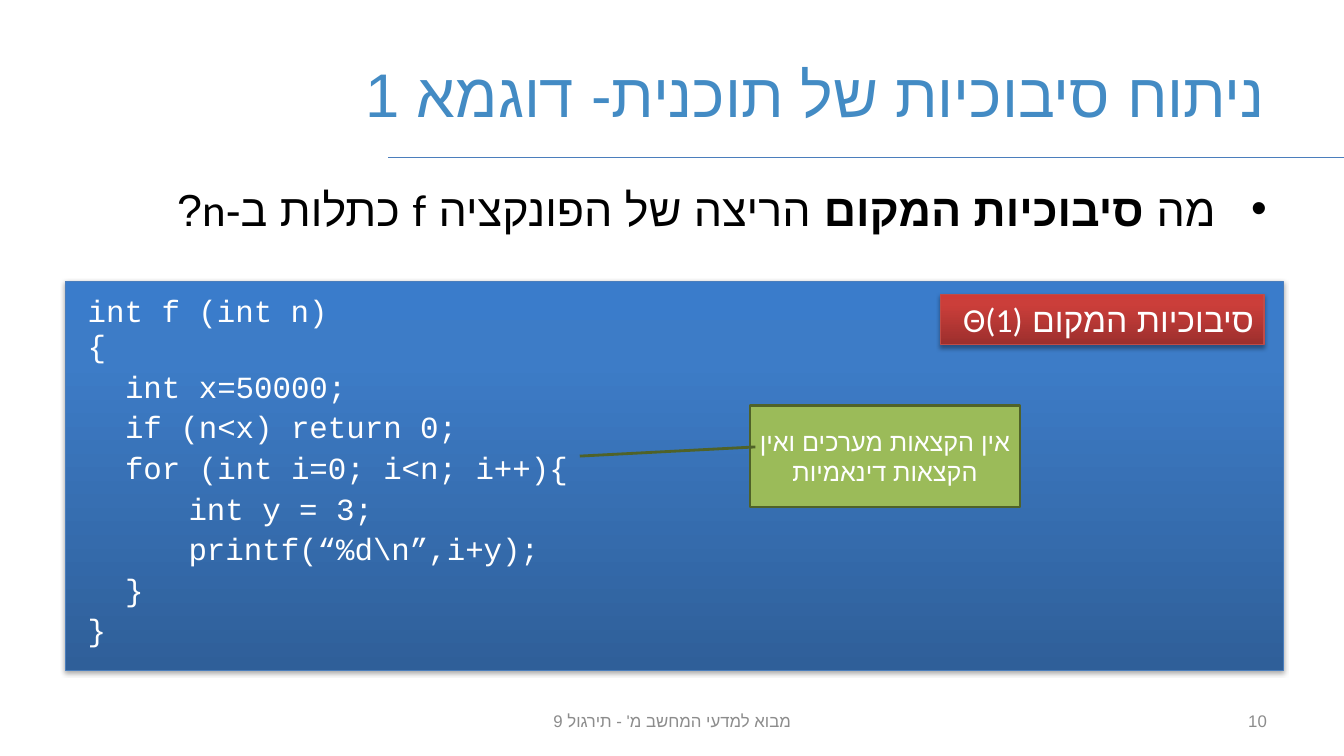
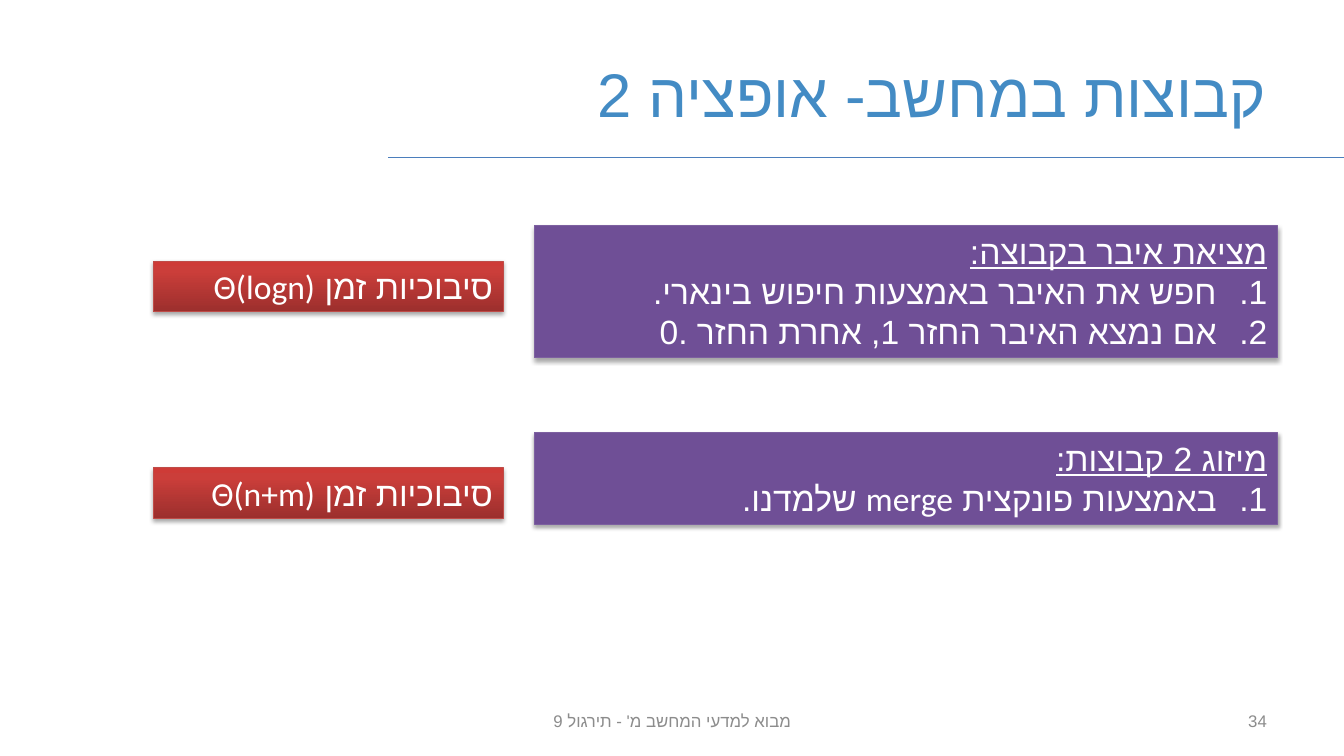
from copy import deepcopy

from lxml import etree
from pptx import Presentation
from pptx import util as u
from pptx.dml import color
from pptx.enum import shapes, text
from pptx.oxml import ns

WIDTH, HEIGHT = u.Inches(13.33), u.Inches(7.5)
TITLE_BLUE, RULE_BLUE, FOOTER_GREY = "438BC4", "4B7EBC", "8C8C8C"
WHITE, BLACK = "FFFFFF", "000000"
BLUE_FILL = [("2F5F99", 0), ("3D7CC7", 0.8), ("3A7CCB", 1)]
RED_FILL = [("9C2F2D", 0), ("CB3E3A", 0.8), ("CE3B37", 1)]
RED_EDGE = "BF4C48"
PURPLE, PURPLE_EDGE = "6F4F96", "7D60A0"
GREEN, GREEN_EDGE = "9BBB59", "4F6228"
RIGHT, CENTER, LEFT = text.PP_ALIGN.RIGHT, text.PP_ALIGN.CENTER, text.PP_ALIGN.LEFT
FOOTER = "מבוא למדעי המחשב מ' - תירגול 9"
CODE = [
    ("int f (int n)", 0),
    ("{", 0),
    ("int x=50000;", 0.37),
    ("if (n<x) return 0;", 0.37),
    ("for (int i=0; i<n; i++){", 0.37),
    ("int y = 3;", 1),
    ("printf(“%d\\n”,i+y);", 1),
    ("}", 0.37),
    ("}", 0),
]
OPERATIONS = [
    (29.87, 17.47, "סיבוכיות זמן Θ(logn)",
     ["מציאת איבר בקבוצה:", "חפש את האיבר באמצעות חיפוש בינארי.",
      "אם נמצא האיבר החזר 1, אחרת החזר .0"]),
    (57.2, 12.13, "סיבוכיות זמן Θ(n+m)",
     ["מיזוג 2 קבוצות:", "באמצעות פונקצית merge שלמדנו."]),
]


def rgb(value):
    """Turn a hex string into a colour."""
    return color.RGBColor.from_string(value)


def area(left, top, width, height):
    """Turn percentages of the slide into lengths."""
    return [u.Emu(round(share * side / 100))
            for share, side in zip((left, top, width, height), (WIDTH, HEIGHT) * 2)]


def child(parent, tag, **attributes):
    """Append a drawing element to its parent."""
    element = etree.SubElement(parent, ns.qn(tag))
    for key, value in attributes.items():
        element.set(key, str(value))
    return element


def move(placeholder, box):
    """Place a placeholder on the slide."""
    placeholder.left, placeholder.top, placeholder.width, placeholder.height = area(*box)


def indent(paragraph, margin, hanging=0):
    """Set the margin and hanging indent in inches."""
    properties = paragraph._p.get_or_add_pPr()
    properties.set("marL", str(u.Inches(margin)))
    properties.set("indent", str(-u.Inches(hanging)))


def style(paragraph, size, ink, font="Calibri", align=RIGHT, rtl=True):
    """Format a paragraph and all its runs."""
    paragraph.alignment = align
    paragraph._p.get_or_add_pPr().set("rtl", str(int(rtl)))
    for run in paragraph.runs:
        run.font.size, run.font.name = u.Pt(size), font
        run.font.color.rgb = rgb(ink)
        child(run._r.get_or_add_rPr(), "a:cs", typeface="Arial" if rtl else font)


def write(frame, lines, *look, **options):
    """Fill a frame with equally formatted lines."""
    frame.text = "\n".join(lines)
    for paragraph in frame.paragraphs:
        style(paragraph, *look, **options)


def paint(shape, fill, edge, weight=0.75):
    """Give a shape a plain or gradient fill and an edge."""
    if isinstance(fill, str):
        shape.fill.solid()
        shape.fill.fore_color.rgb = rgb(fill)
    else:
        shape.fill.gradient()
        shape.fill.gradient_angle = 90
        stops = shape._element.spPr.find(".//" + ns.qn("a:gsLst"))
        stops.append(deepcopy(stops[-1]))
        for stop, (ink, position) in zip(shape.fill.gradient_stops, fill):
            stop.color.rgb, stop.position = rgb(ink), position
    shape.line.color.rgb = rgb(edge)
    shape.line.width = u.Pt(weight)
    shape.shadow.inherit = False


def add_panel(slide, box, fill, edge):
    """Add a filled rectangle with a soft shadow and return its frame."""
    panel = slide.shapes.add_shape(shapes.MSO_SHAPE.RECTANGLE, *area(*box))
    paint(panel, fill, edge)
    effects = panel._element.spPr.find(ns.qn("a:effectLst"))
    shadow = child(effects, "a:outerShdw", blurRad=u.Pt(3.1), dist=u.Pt(1.8),
                   dir=5400000, rotWithShape=0)
    child(child(shadow, "a:srgbClr", val=BLACK), "a:alpha", val=35000)
    frame = panel.text_frame
    frame.vertical_anchor = text.MSO_ANCHOR.TOP
    frame.auto_size = text.MSO_AUTO_SIZE.SHAPE_TO_FIT_TEXT
    frame.word_wrap = True
    return frame


def add_badge(slide, box, label):
    """Add a red complexity label."""
    write(add_panel(slide, box, RED_FILL, RED_EDGE), [label], 24, WHITE)


def add_footer(slide, box, label, align):
    """Add a grey footer text."""
    frame = slide.shapes.add_textbox(*area(*box)).text_frame
    frame.word_wrap = True
    frame.vertical_anchor = text.MSO_ANCHOR.MIDDLE
    write(frame, [label], 12, FOOTER_GREY, align=align)


def add_page(deck, layout, title, number):
    """Add a slide with the shared rule, title and footers."""
    slide = deck.slides.add_slide(deck.slide_layouts[layout])
    rule = slide.shapes.add_connector(shapes.MSO_CONNECTOR.STRAIGHT,
                                      *area(100, 20.8, 28.88, 20.8))
    rule.line.color.rgb = rgb(RULE_BLUE)
    rule.line.width = u.Pt(0.75)
    child(rule._element.spPr, "a:effectLst")
    move(slide.shapes.title, (5, 4, 90, 16.67))
    write(slide.shapes.title.text_frame, [title], 44, TITLE_BLUE, "Arial")
    add_footer(slide, (34.2, 92.67, 31.65, 5.33), FOOTER, CENTER)
    add_footer(slide, (71.67, 92.67, 23.33, 5.33), number, RIGHT)
    return slide


def add_question(slide, parts):
    """Fill the body with one bullet whose second part is bold."""
    body = slide.placeholders[1]
    move(body, (5, 23.33, 90, 66))
    question = body.text_frame.paragraphs[0]
    for part in parts:
        question.add_run().text = part
    style(question, 32, BLACK)
    indent(question, 0.38, 0.38)
    question.runs[1].font.bold = True


def add_code(slide, box, code):
    """Add the program listing, indented by level."""
    frame = add_panel(slide, box, BLUE_FILL, RULE_BLUE)
    frame.margin_left = frame.margin_right = u.Inches(0.22)
    frame.margin_top = frame.margin_bottom = u.Inches(0.17)
    write(frame, [line for line, _ in code], 22, WHITE, "Courier New", LEFT, rtl=False)
    for row, (paragraph, (_, margin)) in enumerate(zip(frame.paragraphs, code)):
        indent(paragraph, margin)
        paragraph.line_spacing = 0.8 if row < 2 else 1.1
        paragraph.space_before = u.Pt(4.4 if row < 2 else 0)


def add_callout(slide, box, pointer, remark):
    """Add a green remark with a pointer line."""
    callout = slide.shapes.add_shape(shapes.MSO_SHAPE.LINE_CALLOUT_1, *area(*box))
    paint(callout, GREEN, GREEN_EDGE, 2)
    for place, value in enumerate(pointer):
        callout.adjustments[place] = value
    frame = callout.text_frame
    frame.word_wrap = True
    frame.margin_left = frame.margin_right = u.Inches(0.04)
    write(frame, [remark], 18, WHITE, align=CENTER)


def add_operation(slide, top, height, cost, lines):
    """Add a numbered description of an operation beside its cost."""
    frame = add_panel(slide, (39.75, top, 55.28, height), PURPLE, PURPLE_EDGE)
    write(frame, lines, 24, WHITE)
    heading, *steps = frame.paragraphs
    heading.runs[0].font.underline = True
    for step in steps:
        indent(step, 0.5, 0.5)
        child(step._p.get_or_add_pPr(), "a:buAutoNum", type="arabicPeriod")
    add_badge(slide, (11.4, top + 4.67, 26.03, 6.67), cost)


def main():
    """Build and save the deck."""
    deck = Presentation()
    deck.slide_width, deck.slide_height = WIDTH, HEIGHT

    program = add_page(deck, 1, "ניתוח סיבוכיות של תוכנית- דוגמא 1", "10")
    add_question(program, [" מה ", "סיבוכיות המקום", " הריצה של הפונקציה f כתלות ב-n?"])
    add_code(program, (4.88, 37.2, 90.6, 51.47), CODE)
    add_callout(program, (55.8, 53.6, 20.1, 13.47), (0.41, 0.02, 0.5, -0.63),
                "אין הקצאות מערכים ואין הקצאות דינאמיות")
    add_badge(program, (70, 38.93, 24.05, 6.67), "סיבוכיות המקום Θ(1)")

    groups = add_page(deck, 5, "קבוצות במחשב- אופציה 2", "34")
    for operation in OPERATIONS:
        add_operation(groups, *operation)

    deck.save("out.pptx")


if __name__ == "__main__":
    main()
